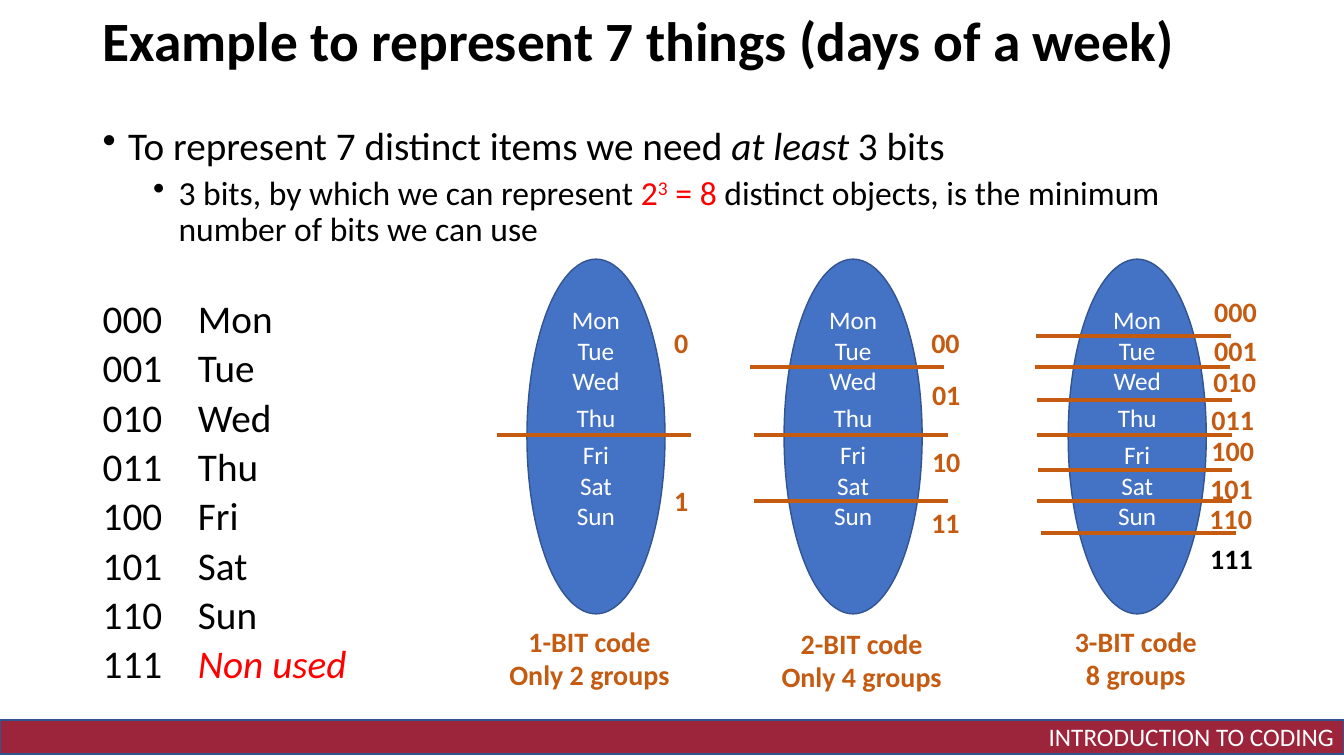
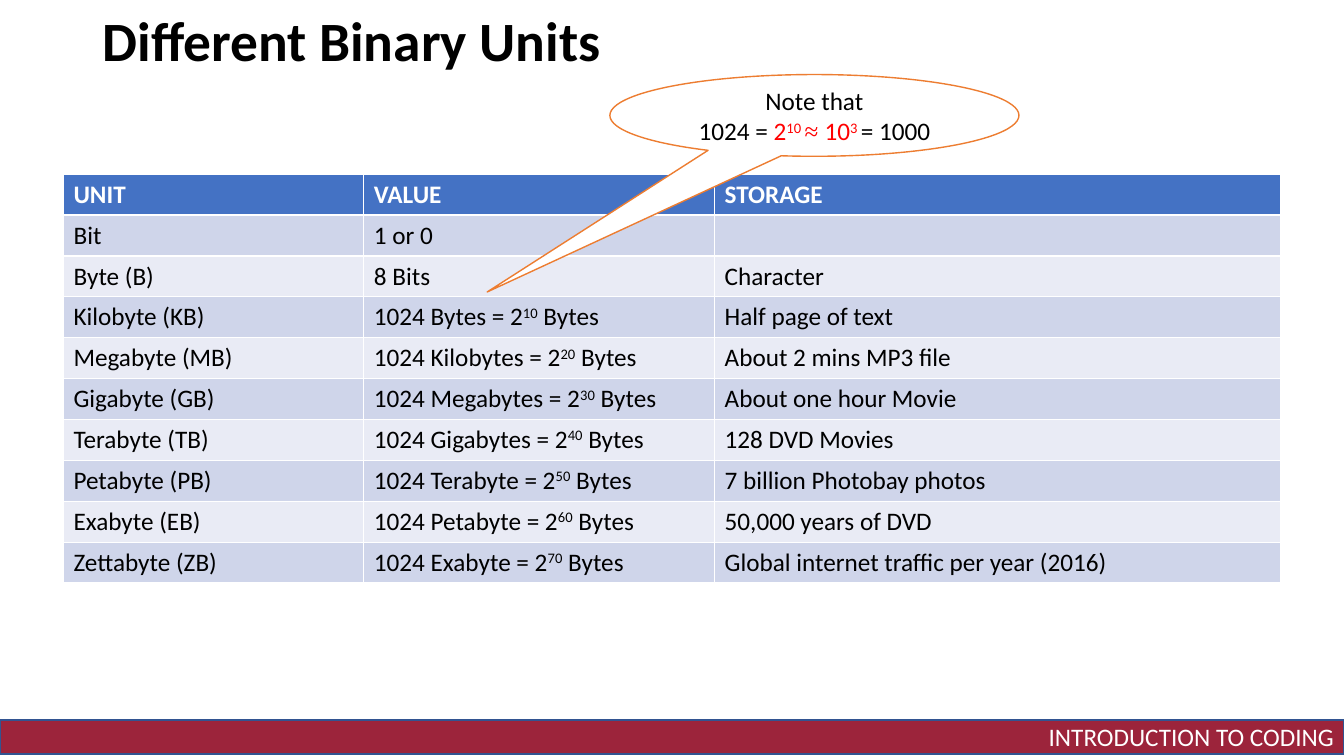
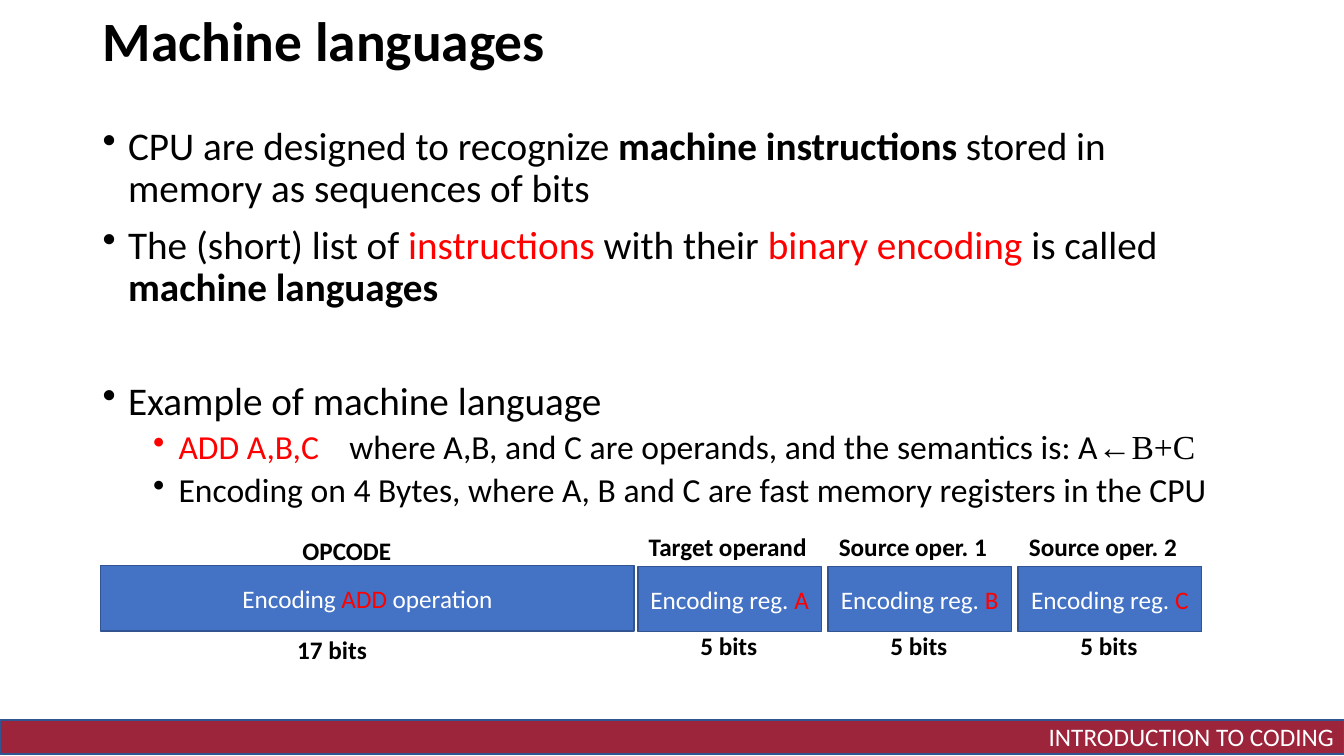
"""Build three slides on binary codes, binary units and machine languages."""
from dataclasses import dataclass

from lxml import etree
from pptx import Presentation
from pptx import util as u
from pptx.dml.color import RGBColor
from pptx.enum import shapes, text
from pptx.oxml import ns


@dataclass(frozen=True)
class Theme:
    font: str = "Calibri"
    serif: str = "Times New Roman"
    black: str = "000000"
    white: str = "FFFFFF"
    red: str = "FF0000"
    band: str = "9C243B"
    blue: str = "4472C4"
    edge: str = "325491"
    rust: str = "C55A11"
    orange: str = "ED7D31"
    odd: str = "CFD5EA"
    even: str = "E9EBF5"
    title: float = 39.6
    body: int = 28
    sub: int = 24
    code: int = 20
    small: int = 18


T = Theme()
WIDE, HIGH = 33.87, 19.05
FOOTER = "INTRODUCTION TO CODING"
SHAPE = shapes.MSO_SHAPE
ALIGN = text.PP_ALIGN
MID = text.MSO_ANCHOR.MIDDLE

WEEK = "Example to represent 7 things (days of a week)"
WEEK_TEXT = [
    (0, 10, ["To represent 7 distinct items we need ", ("at least ", "i"), "3 bits"]),
    (1, 5, ["3 bits, by which we can represent ", ("2", "r"), ("3", "r^"), (" = 8 ", "r"),
            "distinct objects, is the minimum number of bits we can use"]),
]
DAYS = ["Mon", "Tue", "Wed", "Thu", "Fri", "Sat", "Sun"]
OVAL_TEXT = ["\n".join(DAYS[:3]), DAYS[3], "\n".join(DAYS[4:])]
GROUPS = [
    dict(oval=13.28, note=("1-BIT code", "Only 2 groups"), at=(12.57, 15.6, 4.57),
         cuts=[(12.52, 10.97)],
         codes=[(16.74, 8.08), (16.74, 12.07)]),
    dict(oval=19.76, note=("2-BIT code", "Only 4 groups"), at=(19.43, 15.65, 4.57),
         cuts=[(18.9, 9.25), (19, 10.97), (19, 12.62)],
         codes=[(23.22, 8.08), (23.24, 9.4), (23.24, 11.07), (23.22, 12.62)]),
    dict(oval=26.92, note=("3-BIT code", "8 groups"), at=(26.82, 15.6, 3.61),
         cuts=[(26.11, 8.46), (26.09, 9.25), (26.14, 10.08), (26.14, 10.97),
               (26.16, 11.84), (26.14, 12.62), (26.24, 13.44)],
         codes=[(30.35, 7.29), (30.35, 8.28), (30.33, 9.07), (30.28, 10.03),
                (30.28, 10.8), (30.25, 11.76), (30.23, 12.5), (30.25, 13.51)]),
]

UNITS = "Different Binary Units"
HEADS = ["UNIT", "VALUE", "STORAGE"]
BASE = [("Bit", "1 or 0", ""), ("Byte (B)", "8 Bits", "Character")]
SCALE = [
    ("Kilobyte (KB)", "Bytes", "Half page of text"),
    ("Megabyte (MB)", "Kilobytes", "About 2 mins MP3 file"),
    ("Gigabyte (GB)", "Megabytes", "About one hour Movie"),
    ("Terabyte (TB)", "Gigabytes", "128 DVD Movies"),
    ("Petabyte (PB)", "Terabyte", "7 billion Photobay photos"),
    ("Exabyte (EB)", "Petabyte", "50,000 years of DVD"),
    ("Zettabyte (ZB)", "Exabyte", "Global internet traffic per year (2016)"),
]
COLS, ROW = [7.57, 8.84, 14.25], 1.03
NOTE = ["Note that\n1024 = ", ("2", "r"), ("10 ", "r^"), ("≈ ", "rs"), ("10", "r"),
        ("3 ", "r^"), "= 1000"]

MACHINE = "Machine languages"
MACHINE_TEXT = [
    (0, 10, ["CPU are designed to recognize ", ("machine instructions", "b"),
             " stored in memory as sequences of bits"]),
    (0, 10, ["The (short) list of ", ("instructions", "r"), " with their ",
             ("binary encoding ", "r"), "is called ", ("machine languages", "b")]),
    (0, 50.8, ["Example of machine language"]),
    (1, 5, [("ADD A,B,C", "r"), (" ", "w"),
            "where A,B, and C are operands, and the semantics is: A", ("←B+C", "s")]),
    (1, 5, ["Encoding on 4 Bytes, where A, B and C are fast memory registers in the CPU"]),
]
REGS = [("Target operand", "A"), ("Source oper. 1", "B"), ("Source oper. 2", "C")]


def rgb(code):
    return RGBColor.from_string(code)


def cm(*nums):
    return [u.Cm(n) for n in nums]


def write(par, runs, size, color=T.black, bold=False):
    """Add runs; marks are b bold, i italic, r red, s serif, ^ raised, w wide."""
    for item in runs:
        words, marks = (item, "") if isinstance(item, str) else item
        for n, line in enumerate(words.split("\n")):
            if n:
                par.add_line_break()
            run = par.add_run()
            run.text = line
            font = run.font
            font.name = T.serif if "s" in marks else T.font
            font.size = u.Pt(size)
            font.bold = bold or "b" in marks
            font.italic = "i" in marks
            font.color.rgb = rgb(T.red if "r" in marks else color)
            props = run._r.get_or_add_rPr()
            if "^" in marks:
                props.set("baseline", "30000")
            if "w" in marks:
                props.set("spc", "1630")


def fill(frame, pars, size, color=T.black, bold=False, align=None, gap=0):
    for n, runs in enumerate(pars):
        par = frame.add_paragraph() if n else frame.paragraphs[0]
        par.alignment = align
        par.space_before = u.Pt(gap)
        write(par, runs, size, color, bold)


def label(slide, at, pars, size, color=T.black, align=None, wrap=False):
    frame = slide.shapes.add_textbox(*cm(*at)).text_frame
    frame.word_wrap = wrap
    fill(frame, pars, size, color, True, align)
    return frame


def shape(slide, kind, at, pars, back=T.blue, edge=T.edge, color=T.white,
          align=ALIGN.CENTER, gap=0):
    item = slide.shapes.add_shape(kind, *cm(*at))
    item.shadow.inherit = False
    item.fill.solid()
    item.fill.fore_color.rgb = rgb(back)
    item.line.color.rgb = rgb(edge)
    item.line.width = u.Pt(1)
    item.text_frame.word_wrap = True
    item.text_frame.vertical_anchor = MID
    fill(item.text_frame, pars, T.small, color, align=align, gap=gap)
    return item


def rule(slide, x, y, wide):
    line = slide.shapes.add_connector(shapes.MSO_CONNECTOR.STRAIGHT, *cm(x, y, x + wide, y))
    line.line.color.rgb = rgb(T.rust)
    line.line.width = u.Pt(3)
    etree.SubElement(line._element.spPr, ns.qn("a:effectLst"))


def start(deck, title):
    slide = deck.slides.add_slide(deck.slide_layouts[6])
    shape(slide, SHAPE.RECTANGLE, (0, 18.14, WIDE, 0.86), [[FOOTER]], T.band,
          align=ALIGN.RIGHT)
    frame = label(slide, (2.34, 0.33, 29.21, 1.55), [[title]], T.title, wrap=True)
    frame.vertical_anchor = MID
    frame.paragraphs[0].line_spacing = 0.9
    return slide


def body(slide, high, items):
    frame = slide.shapes.add_textbox(*cm(2.34, 3.07, 29.21, high)).text_frame
    frame.word_wrap = True
    for n, (level, gap, runs) in enumerate(items):
        par = frame.add_paragraph() if n else frame.paragraphs[0]
        par.line_spacing = 0.9
        par.space_before = u.Pt(gap)
        props = par._p.get_or_add_pPr()
        if level is None:
            tabs = etree.SubElement(props, ns.qn("a:tabLst"))
            etree.SubElement(tabs, ns.qn("a:tab"), pos=str(u.Cm(2.4)), algn="l")
        else:
            par.level = level
            props.set("marL", str(u.Cm(0.64 + 1.27 * level)))
            props.set("indent", str(-u.Cm(0.64)))
            etree.SubElement(props, ns.qn("a:buChar"), char="•")
        write(par, runs, T.sub if level else T.body)


def week(deck):
    slide = start(deck, WEEK)
    names = DAYS + [("Non used", "ri")]
    table = [(None, 5 if n else 36.4, [f"{n:03b}\t", name]) for n, name in enumerate(names)]
    body(slide, 14.4, WEEK_TEXT + table)
    for bits, group in enumerate(GROUPS, 1):
        oval = shape(slide, SHAPE.OVAL, (group["oval"], 6.53, 3.48, 8.94),
                     [[line] for line in OVAL_TEXT], gap=5)
        oval.text_frame.margin_bottom = u.Cm(1.08)
        for x, y in group["cuts"]:
            rule(slide, x, y, 4.9)
        for n, (x, y) in enumerate(group["codes"]):
            color = T.black if n == len(DAYS) else T.rust
            label(slide, (x, y, 0.49 + 0.37 * bits, 1.12), [[f"{n:0{bits}b}"]], T.code, color)
        label(slide, (*group["at"], 1.96), [[line] for line in group["note"]],
              T.code, T.rust, ALIGN.CENTER)


def units(deck):
    slide = start(deck, UNITS)
    rows = [HEADS, *BASE]
    for n, (unit, prior, use) in enumerate(SCALE, 1):
        rows.append((unit, [f"1024 {prior} = 2", (str(10 * n), "^"), " Bytes"], use))
    grid = slide.shapes.add_table(len(rows), len(COLS),
                                  *cm(1.6, 4.39, sum(COLS), ROW * len(rows))).table
    for col, wide in zip(grid.columns, COLS):
        col.width = u.Cm(wide)
    for r, row in enumerate(rows):
        back = (T.odd if r % 2 else T.even) if r else T.blue
        for c, runs in enumerate(row):
            cell = grid.cell(r, c)
            cell.fill.solid()
            cell.fill.fore_color.rgb = rgb(back)
            write(cell.text_frame.paragraphs[0], [runs] if isinstance(runs, str) else runs,
                  T.small, T.black if r else T.white, not r)
    note = shape(slide, SHAPE.OVAL_CALLOUT, (15.37, 1.88, 10.31, 2.06), [NOTE],
                 T.white, T.orange, T.black)
    note.adjustments[0] = -0.8
    note.adjustments[1] = 2.16


def machine(deck):
    slide = start(deck, MACHINE)
    body(slide, 10.16, MACHINE_TEXT)
    kind = SHAPE.FLOWCHART_PROCESS
    shape(slide, kind, (2.54, 14.25, 13.44, 1.65), [["Encoding ", ("ADD", "r"), " operation"]])
    tags = [(7.37, 13.36, "OPCODE"), (7.24, 15.85, "17 bits")]
    for n, (head, reg) in enumerate(REGS):
        x = 16.08 + 4.79 * n
        shape(slide, kind, (x, 14.27, 4.62, 1.65), [["Encoding reg. ", (reg, "r")]])
        tags += [(x + 0.02, 13.26, head), (x + 1.32, 15.77, "5 bits")]
    for x, y, words in tags:
        label(slide, (x, y, 5.2, 1.02), [[words]], T.small, wrap=True)


def main():
    deck = Presentation()
    deck.slide_width, deck.slide_height = cm(WIDE, HIGH)
    for make in (week, units, machine):
        make(deck)
    deck.save("out.pptx")


if __name__ == "__main__":
    main()
